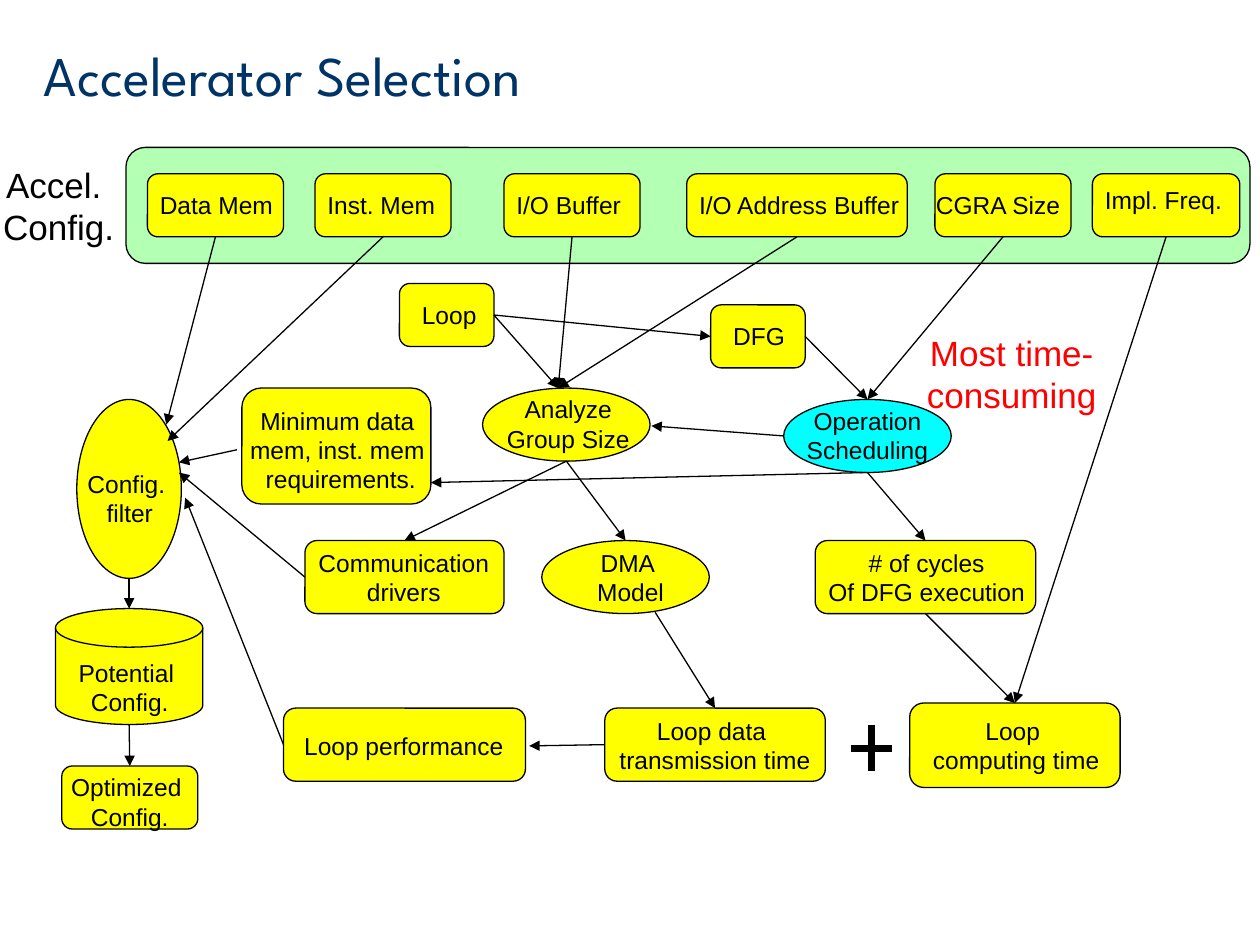
from lxml.etree import SubElement
from pptx import Presentation
from pptx.dml.color import RGBColor
from pptx.enum.shapes import MSO_CONNECTOR, MSO_SHAPE
from pptx.enum.text import MSO_ANCHOR, PP_ALIGN
from pptx.oxml.ns import qn
from pptx.util import Inches, Pt

BLACK, RED, NAVY = "000000", "FF0000", "003366"
YELLOW, CYAN, GREEN = "FFFF00", "00FFFF", "B3FFB3"
RECT, OVAL = MSO_SHAPE.ROUNDED_RECTANGLE, MSO_SHAPE.OVAL
DISK = MSO_SHAPE.FLOWCHART_MAGNETIC_DISK

PANEL = (1, 1.17, 8.92, 0.92)

# Parameters in the panel: text, left, width, label left, label top, label width
ROW_TOP, ROW_HEIGHT = 1.38, 0.5
PARAMETERS = [
    ("Data Mem", 1.17, 1.08, 1.17, 1.46, 1.1),
    ("Inst. Mem", 2.5, 1.08, 2.5, 1.46, 1.06),
    ("I/O Buffer", 4, 1.08, 4, 1.46, 1.04),
    ("I/O Address Buffer", 5.45, 1.75, 5.45, 1.46, 1.8),
    ("CGRA Size", 7.42, 1.08, 7.33, 1.46, 1.2),
    ("Impl. Freq.", 8.67, 1.17, 8.67, 1.42, 1.14),
]

# Steps: name, shape, box, label lines, label left, top and width
STEPS = [
    ("loop", RECT, (3.17, 2.25, 0.75, 0.5), ["Loop"], (3.25, 2.33, 0.64)),
    ("dfg", RECT, (5.64, 2.42, 0.75, 0.5), ["DFG"], (5.72, 2.5, 0.62)),
    ("analyze", OVAL, (3.83, 3.08, 1.33, 0.58), ["Analyze", "Group Size"], (3.92, 3.08, 1.18)),
    ("schedule", OVAL, (6.22, 3.17, 1.33, 0.58), ["Operation", "Scheduling"], (6.3, 3.17, 1.17)),
    ("minimum", RECT, (1.92, 3.08, 1.5, 0.92),
     ["Minimum data ", "mem, inst. mem ", "requirements."], (1.88, 3.17, 1.65)),
    ("filter", OVAL, (0.61, 3.17, 0.83, 1.42), ["Config. ", "filter"], (0.59, 3.67, 0.88)),
    ("drivers", RECT, (2.42, 4.29, 1.58, 0.58), ["Communication", "drivers"], (2.08, 4.3, 2.25)),
    ("dma", OVAL, (4.3, 4.29, 1.33, 0.58), ["DMA ", "Model"], (4.64, 4.3, 0.73)),
    ("cycles", RECT, (6.47, 4.29, 1.75, 0.58),
     ["# of cycles", "Of DFG execution"], (6.47, 4.3, 1.77)),
    ("potential", DISK, (0.44, 4.83, 1.17, 0.92), ["Potential ", "Config."], (0.52, 5.17, 1.02)),
    ("performance", RECT, (2.25, 5.62, 1.92, 0.58), ["Loop performance"], (2.08, 5.75, 2.25)),
    ("transmission", RECT, (4.8, 5.62, 1.75, 0.58),
     ["Loop data ", "transmission time"], (4.55, 5.63, 2.25)),
    ("computing", RECT, (7.22, 5.58, 1.67, 0.67), ["Loop ", "computing time"], (7.3, 5.63, 1.53)),
    ("optimized", RECT, (0.49, 6.08, 1.08, 0.5), ["Optimized ", "Config."], (0.46, 6.08, 1.14)),
]
FILLS = {"schedule": CYAN}

# Each end is (node, side) or a point (x, y)
ANALYZE_TOP = (4.43, 3.08)
ARROWS = [
    (("Data Mem", "bottom"), (1.32, 3.37)),
    (("Inst. Mem", "bottom"), (1.33, 3.5)),
    (("I/O Buffer", "bottom"), ANALYZE_TOP),
    (("I/O Address Buffer", "bottom"), ANALYZE_TOP),
    (("CGRA Size", "bottom"), ("schedule", "top")),
    (("Impl. Freq.", "bottom"), ("computing", "top")),
    (("loop", "right"), ANALYZE_TOP),
    (("loop", "right"), ("dfg", "left")),
    (("dfg", "right"), ("schedule", "top")),
    (("schedule", "left"), (5.17, 3.38)),
    (("schedule", "bottom"), (3.42, 3.83)),
    (("schedule", "bottom"), ("cycles", "top")),
    (("analyze", "bottom"), ("drivers", "top")),
    (("analyze", "bottom"), ("dma", "top")),
    (("cycles", "bottom"), ("computing", "top")),
    ((5.2, 4.86), ("transmission", "top")),
    (("transmission", "left"), (4.2, 5.92)),
    ((1.88, 3.57), (1.42, 3.67)),
    (("drivers", "left"), (1.42, 3.75)),
    (("performance", "left"), (1.47, 3.95)),
    (("filter", "bottom"), ("potential", "top")),
    (("potential", "bottom"), ("optimized", "top")),
]
PLUS = [((6.75, 5.94), (7.08, 5.94)), ((6.92, 5.75), (6.92, 6.12))]

SIDES = {"top": (0.5, 0), "bottom": (0.5, 1), "left": (0, 0.5), "right": (1, 0.5)}

prs = Presentation()
prs.slide_width, prs.slide_height = Inches(10), Inches(7.5)
s = prs.slides.add_slide(prs.slide_layouts[6])
boxes = {}


def rgb(color):
    return RGBColor.from_string(color)


def add_text(lines, left, top, width, height=None, size=14, color=BLACK,
             font="Arial", align=PP_ALIGN.CENTER, anchor=MSO_ANCHOR.TOP):
    """Add one paragraph per line; the height follows from the lines by default."""
    height = height or 0.1 + len(lines) * size / 60
    tf = s.shapes.add_textbox(*map(Inches, (left, top, width, height))).text_frame
    tf.word_wrap = False
    tf.vertical_anchor = anchor
    for i, line in enumerate(lines):
        p = tf.paragraphs[0] if i == 0 else tf.add_paragraph()
        p.alignment = align
        r = p.add_run()
        r.text = line
        r.font.name, r.font.size = font, Pt(size)
        r.font.color.rgb = rgb(color)


def add_box(name, kind, box, fill):
    sp = s.shapes.add_shape(kind, *map(Inches, box))
    sp.shadow.inherit = False
    sp.fill.solid()
    sp.fill.fore_color.rgb = rgb(fill)
    sp.line.color.rgb = rgb(BLACK)
    sp.line.width = Pt(0.75)
    boxes[name] = box


def locate(end):
    """Turn (node, side) into a point; leave points as they are."""
    if end[0] not in boxes:
        return end
    left, top, width, height = boxes[end[0]]
    dx, dy = SIDES[end[1]]
    return left + dx * width, top + dy * height


def add_line(start, end, width=0.75, arrow=True):
    ends = map(Inches, (*locate(start), *locate(end)))
    line = s.shapes.add_connector(MSO_CONNECTOR.STRAIGHT, *ends)
    line.line.color.rgb = rgb(BLACK)
    line.line.width = Pt(width)
    if arrow:
        SubElement(line.line._get_or_add_ln(), qn("a:tailEnd"), type="triangle")
    SubElement(line._element.spPr, qn("a:effectLst"))


add_text(["Accelerator Selection"], 0.25, 0.25, 9.5, 0.67, size=32, color=NAVY,
         font="League Spartan", align=PP_ALIGN.LEFT, anchor=MSO_ANCHOR.MIDDLE)
s.shapes[0].text_frame.word_wrap = True
add_box("panel", RECT, PANEL, GREEN)

for text, left, width, *label in PARAMETERS:
    add_box(text, RECT, (left, ROW_TOP, width, ROW_HEIGHT), YELLOW)
    add_text([text], *label, align=PP_ALIGN.LEFT)

for name, kind, box, lines, label in STEPS:
    add_box(name, kind, box, FILLS.get(name, YELLOW))
    align = PP_ALIGN.LEFT if name in ("loop", "dfg") else PP_ALIGN.CENTER
    add_text(lines, *label, align=align)

for start, end in ARROWS:
    add_line(start, end)
for start, end in PLUS:
    add_line(start, end, width=4, arrow=False)

add_text(["Accel. ", "Config."], -0.08, 1.25, 1.09, size=20)
add_text(["Most time-", "consuming"], 7.25, 2.58, 1.56, size=20, color=RED)

prs.save("out.pptx")
